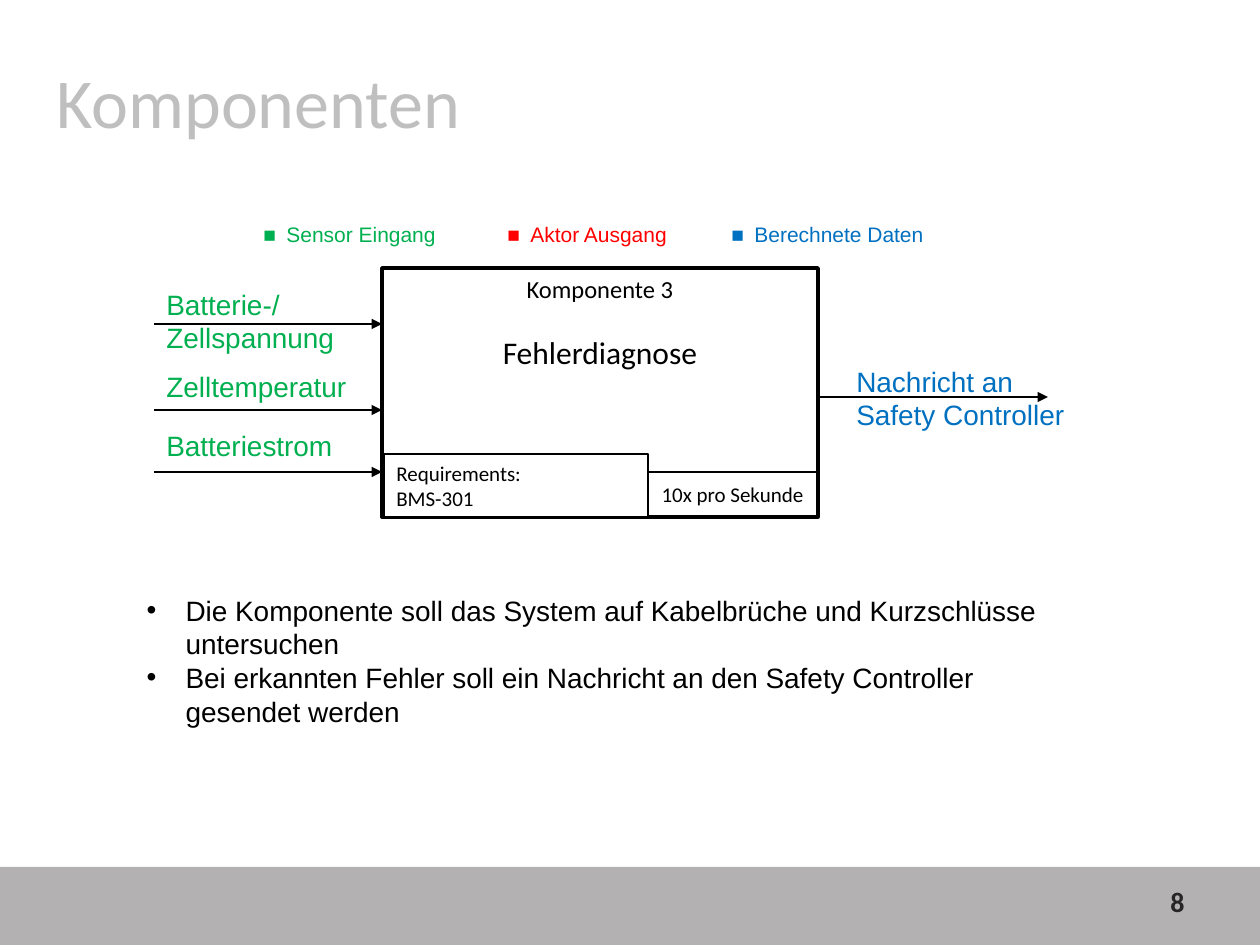
import pptx
import pptx.util
import pptx.dml.color
import pptx.enum.shapes
import pptx.enum.text
import pptx.oxml.ns
import lxml.etree

RGBColor = pptx.dml.color.RGBColor
Align = pptx.enum.text.PP_ALIGN
Anchor = pptx.enum.text.MSO_ANCHOR
RECTANGLE = pptx.enum.shapes.MSO_SHAPE.RECTANGLE
STRAIGHT = pptx.enum.shapes.MSO_CONNECTOR.STRAIGHT
qn = pptx.oxml.ns.qn

WHITE = RGBColor(0xFF, 0xFF, 0xFF)
BLACK = RGBColor(0, 0, 0)
FOOTER_GRAY = RGBColor(0xB3, 0xB1, 0xB2)
NUMBER_GRAY = RGBColor(0x26, 0x26, 0x26)
TITLE_GRAY = RGBColor(0xBF, 0xBF, 0xBF)
SENSOR_GREEN = RGBColor(0x00, 0xB0, 0x50)
ACTUATOR_RED = RGBColor(0xFF, 0, 0)
DATA_BLUE = RGBColor(0x00, 0x70, 0xC0)

PX_PER_INCH = 126


def px(length):
    return pptx.util.Emu(round(length * 914400 / PX_PER_INCH))


def move(placed, box):
    placed.left, placed.top, placed.width, placed.height = map(px, box)


def style(paragraph, font_name, size, color, align=Align.LEFT, bold=False):
    paragraph.alignment = align
    paragraph.font.name = font_name
    paragraph.font.size = pptx.util.Pt(size)
    paragraph.font.color.rgb = color
    paragraph.font.bold = bold


def write(frame, lines, font_name, size, color, align=Align.LEFT, anchor=Anchor.TOP, bold=False):
    frame.word_wrap = True
    frame.auto_size = pptx.enum.text.MSO_AUTO_SIZE.NONE
    frame.vertical_anchor = anchor
    frame.text = "\n".join(lines)
    for paragraph in frame.paragraphs:
        style(paragraph, font_name, size, color, align, bold)


def add_label(slide, box, text, color):
    label = slide.shapes.add_textbox(*map(px, box))
    write(label.text_frame, [text], "Arial", 16, color)


def add_panel(slide, box, fill, line_width=None):
    panel = slide.shapes.add_shape(RECTANGLE, *map(px, box))
    panel.shadow.inherit = False
    panel.fill.solid()
    panel.fill.fore_color.rgb = fill
    if line_width is None:
        panel.line.fill.background()
    else:
        panel.line.color.rgb = BLACK
        panel.line.width = pptx.util.Pt(line_width)
    return panel


def add_arrow(slide, left, right, y):
    arrow = slide.shapes.add_connector(STRAIGHT, px(left), px(y), px(right), px(y))
    arrow.line.color.rgb = BLACK
    arrow.line.width = pptx.util.Pt(0.75)
    lxml.etree.SubElement(arrow.line._get_or_add_ln(), qn("a:tailEnd"), type="triangle")
    lxml.etree.SubElement(arrow._element.spPr, qn("a:effectLst"))


def add_footer(slide, box):
    left, top, width, height = box
    add_panel(slide, box, FOOTER_GRAY)
    number = slide.shapes.add_textbox(px(left + 903), px(top + 9), px(294), px(50))
    write(number.text_frame, ["8"], "Calibri", 16, NUMBER_GRAY, Align.RIGHT, Anchor.MIDDLE, True)


def fill_title(slide, box):
    title = slide.shapes.title
    move(title, box)
    write(title.text_frame, ["Komponenten"], "Calibri", 40, TITLE_GRAY)


def add_legend(slide, box):
    legend = slide.shapes.add_textbox(*map(px, box))
    write(legend.text_frame, [""], "Arial", 12, BLACK)
    paragraph = legend.text_frame.paragraphs[0]
    entries = [("Sensor Eingang", SENSOR_GREEN, 0), ("Aktor Ausgang", ACTUATOR_RED, 244),
               ("Berechnete Daten", DATA_BLUE, 468)]
    tab_stops = lxml.etree.Element(qn("a:tabLst"))
    for entry, color, start in entries:
        stops = [start, start + 23] if start else [start + 23]
        for stop in stops:
            lxml.etree.SubElement(tab_stops, qn("a:tab"), pos=str(px(stop)), algn="l")
        run = paragraph.add_run()
        run.text = ("\t" if start else "") + "■\t" + entry
        run.font.color.rgb = color
    paragraph._p.get_or_add_pPr().find(qn("a:defRPr")).addprevious(tab_stops)


def add_component(slide, box):
    left, top, width, height = box
    component = add_panel(slide, box, WHITE, 2)
    write(component.text_frame, ["Komponente 3", "Fehlerdiagnose"], "Calibri", 14, BLACK, Align.CENTER)
    function = component.text_frame.paragraphs[1]
    function.font.size = pptx.util.Pt(18)
    function.space_before = pptx.util.Pt(17)

    rate = add_panel(slide, (left + 266, top + 204, 169, 44), WHITE, 0.75)
    write(rate.text_frame, ["10x pro Sekunde"], "Calibri", 12, BLACK, Align.CENTER, Anchor.MIDDLE)
    requirements = add_panel(slide, (left + 2, top + 186, 264, 63), WHITE, 0.75)
    write(requirements.text_frame, ["Requirements:", "BMS-301"], "Calibri", 12, BLACK)


def add_inputs(slide, box):
    left, top, width, height = box
    inputs = [("Batterie-/ Zellspannung", 0, 81, 43), ("Zelltemperatur", 82, 47, 129),
              ("Batteriestrom", 141, 47, 191)]
    for signal, label_y, label_height, arrow_y in inputs:
        add_arrow(slide, left, left + width, top + arrow_y)
        add_label(slide, (left, top + label_y, 208, label_height), signal, SENSOR_GREEN)


def add_output(slide, box):
    left, top, width, height = box
    add_arrow(slide, left, left + 228, top + 39)
    add_label(slide, (left + 24, top, width - 24, height), "Nachricht an Safety Controller", DATA_BLUE)


def fill_description(slide, box):
    description = slide.placeholders[1]
    move(description, box)
    write(description.text_frame, [
        "Die Komponente soll das System auf Kabelbrüche und Kurzschlüsse untersuchen",
        "Bei erkannten Fehler soll ein Nachricht an den Safety Controller gesendet werden",
    ], "Arial", 16, BLACK)
    for paragraph in description.text_frame.paragraphs:
        paragraph.space_before = pptx.util.Pt(0)
        properties = paragraph._p.get_or_add_pPr()
        properties.set("marL", str(px(39)))
        properties.set("indent", str(-px(39)))


def main():
    presentation = pptx.Presentation()
    presentation.slide_width = px(1260)
    presentation.slide_height = px(945)
    slide = presentation.slides.add_slide(presentation.slide_layouts[1])
    add_footer(slide, (0, 867, 1260, 78))
    fill_title(slide, (44, 52, 883, 97))
    add_legend(slide, (251, 215, 701, 38))
    add_component(slide, (382, 268, 436, 249))
    add_inputs(slide, (154, 281, 228, 191))
    add_output(slide, (820, 358, 276, 81))
    fill_description(slide, (134, 587, 963, 149))
    presentation.save("out.pptx")


if __name__ == "__main__":
    main()
